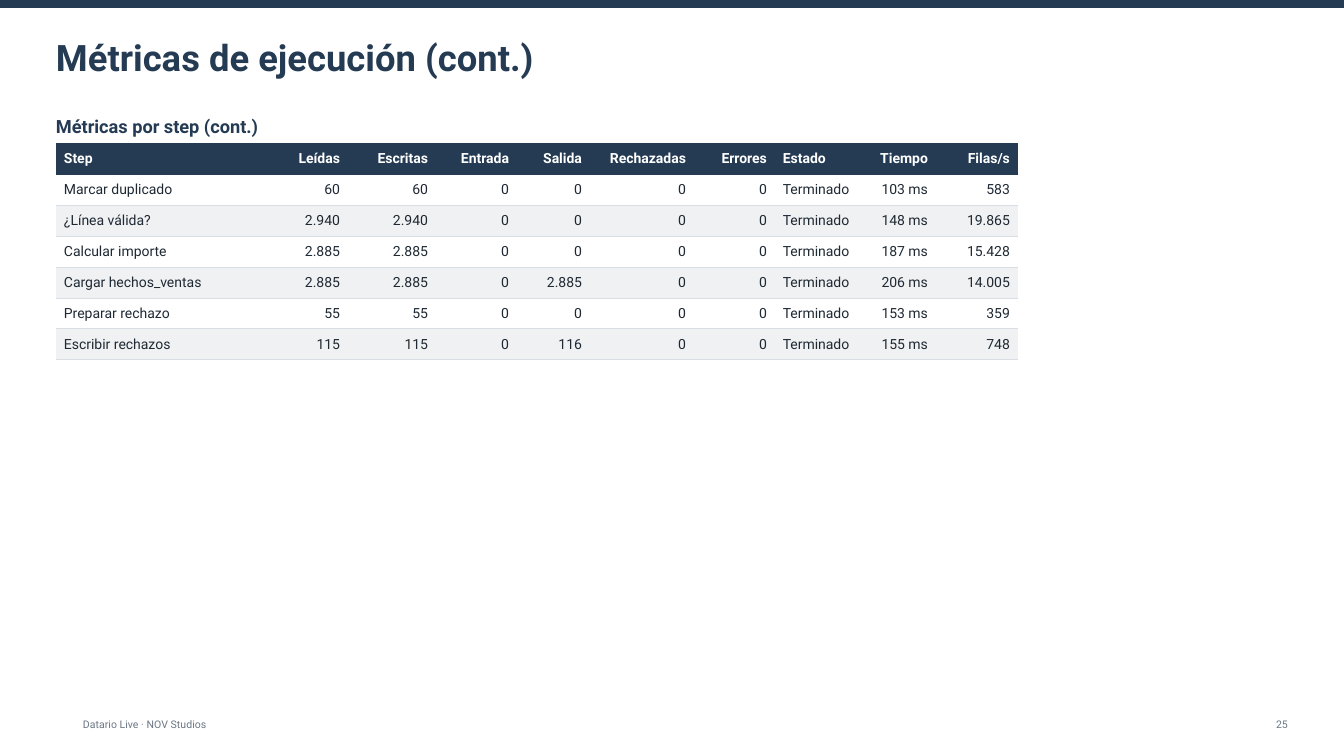
"""Build the slide with the execution metrics of each step."""
import pptx
import pptx.dml.color
import pptx.enum.shapes
import pptx.enum.text
import pptx.oxml
import pptx.oxml.ns
import pptx.util

TITLE = "Métricas de ejecución (cont.)"
SUBTITLE = "Métricas por step (cont.)"
FOOTER = "Datario Live · NOV Studios"
PAGE_NUMBER = "25"
HEADERS = ("Step", "Leídas", "Escritas", "Entrada", "Salida", "Rechazadas",
           "Errores", "Estado", "Tiempo", "Filas/s")
STEPS = [
    ("Marcar duplicado", "60", "60", "0", "0", "0", "0", "Terminado", "103 ms", "583"),
    ("¿Línea válida?", "2.940", "2.940", "0", "0", "0", "0", "Terminado", "148 ms", "19.865"),
    ("Calcular importe", "2.885", "2.885", "0", "0", "0", "0", "Terminado", "187 ms", "15.428"),
    ("Cargar hechos_ventas", "2.885", "2.885", "0", "2.885", "0", "0", "Terminado", "206 ms", "14.005"),
    ("Preparar rechazo", "55", "55", "0", "0", "0", "0", "Terminado", "153 ms", "359"),
    ("Escribir rechazos", "115", "115", "0", "116", "0", "0", "Terminado", "155 ms", "748"),
]
COLUMN_WIDTHS = (220, 72, 88, 81, 73, 104, 81, 88, 73, 82)
LEFT_COLUMNS = ("Step", "Estado")
COLORS = {"navy": "243B53", "ink": "1F2933", "gray": "6B7785",
          "white": "FFFFFF", "band": "F0F1F3", "rule": "D9DEE5"}
FONT = "Roboto"
NO_STYLE = "{2D5ABB26-0587-4C30-8999-92F81FD0307C}"
SLIDE_WIDTH, SLIDE_HEIGHT = 1344, 756
MARGIN, CONTENT_WIDTH = 56, 1232
TABLE_TOP, ROW_HEIGHT = 143, 31
FOOTER_TOP, FOOTER_HEIGHT = 712, 25
LEFT = pptx.enum.text.PP_ALIGN.LEFT
RIGHT = pptx.enum.text.PP_ALIGN.RIGHT
TOP = pptx.enum.text.MSO_ANCHOR.TOP
MIDDLE = pptx.enum.text.MSO_ANCHOR.MIDDLE


def px(length):
    return pptx.util.Emu(round(length * 914400 / 100.8))


def rgb(name):
    return pptx.dml.color.RGBColor.from_string(COLORS[name])


def write(text_frame, text, size, color, bold=False, align=LEFT):
    text_frame.text = text
    paragraph = text_frame.paragraphs[0]
    paragraph.alignment = align
    font = paragraph.runs[0].font
    font.name, font.size, font.bold = FONT, pptx.util.Pt(size), bold
    font.color.rgb = rgb(color)


def set_box(shape, box, inset, anchor=MIDDLE):
    shape.left, shape.top, shape.width, shape.height = map(px, box)
    frame = shape.text_frame
    frame.word_wrap = True
    frame.auto_size = pptx.enum.text.MSO_AUTO_SIZE.NONE
    frame.vertical_anchor = anchor
    frame.margin_left = frame.margin_right = 0
    frame.margin_top = frame.margin_bottom = px(inset)
    return frame


def add_text(slide, box, text, size, color, bold=False, align=LEFT, anchor=MIDDLE):
    shape = slide.shapes.add_textbox(0, 0, 0, 0)
    write(set_box(shape, box, 3, anchor), text, size, color, bold, align)


def set_bottom_border(cell, color):
    border = pptx.oxml.parse_xml(
        f'<a:lnB {pptx.oxml.ns.nsdecls("a")} w="{pptx.util.Pt(0.75)}"><a:solidFill>'
        f'<a:srgbClr val="{COLORS[color]}"/></a:solidFill></a:lnB>')
    cell._tc.get_or_add_tcPr().insert(0, border)


def add_metrics_table(slide):
    rows = [HEADERS, *STEPS]
    frame = slide.shapes.add_table(
        len(rows), len(HEADERS), px(MARGIN), px(TABLE_TOP),
        px(sum(COLUMN_WIDTHS)), px(ROW_HEIGHT * len(rows)))
    table = frame.table
    table.horz_banding = False
    table._tbl.tblPr.find(pptx.oxml.ns.qn("a:tableStyleId")).text = NO_STYLE
    for column, width in zip(table.columns, COLUMN_WIDTHS):
        column.width = px(width)
    for row_index, values in enumerate(rows):
        table.rows[row_index].height = px(ROW_HEIGHT)
        is_header = row_index == 0
        fill = "navy" if is_header else "white" if row_index % 2 else "band"
        for column_index, value in enumerate(values):
            cell = table.cell(row_index, column_index)
            cell.vertical_anchor = MIDDLE
            cell.margin_left = cell.margin_right = px(8)
            cell.margin_top = cell.margin_bottom = px(4)
            cell.fill.solid()
            cell.fill.fore_color.rgb = rgb(fill)
            set_bottom_border(cell, "navy" if is_header else "rule")
            align = LEFT if HEADERS[column_index] in LEFT_COLUMNS else RIGHT
            write(cell.text_frame, value, 10, "white" if is_header else "ink",
                  is_header, align)


def main():
    presentation = pptx.Presentation()
    presentation.slide_width = px(SLIDE_WIDTH)
    presentation.slide_height = px(SLIDE_HEIGHT)
    slide = presentation.slides.add_slide(presentation.slide_layouts[5])

    title_frame = set_box(slide.shapes.title, (MARGIN, 22, CONTENT_WIDTH, 70), 5)
    write(title_frame, TITLE, 26, "navy", True)

    top_bar = slide.shapes.add_shape(
        pptx.enum.shapes.MSO_SHAPE.RECTANGLE, 0, 0, px(SLIDE_WIDTH), px(8))
    top_bar.shadow.inherit = False
    top_bar.fill.solid()
    top_bar.fill.fore_color.rgb = rgb("navy")
    top_bar.line.fill.background()

    add_text(slide, (83, FOOTER_TOP, 560, FOOTER_HEIGHT), FOOTER, 7.5, "gray")
    add_text(slide, (1120, FOOTER_TOP, 168, FOOTER_HEIGHT), PAGE_NUMBER, 7.5, "gray",
             align=RIGHT)
    add_text(slide, (MARGIN, 112, CONTENT_WIDTH, 28), SUBTITLE, 13, "navy", True,
             anchor=TOP)
    add_metrics_table(slide)
    presentation.save("out.pptx")


if __name__ == "__main__":
    main()
